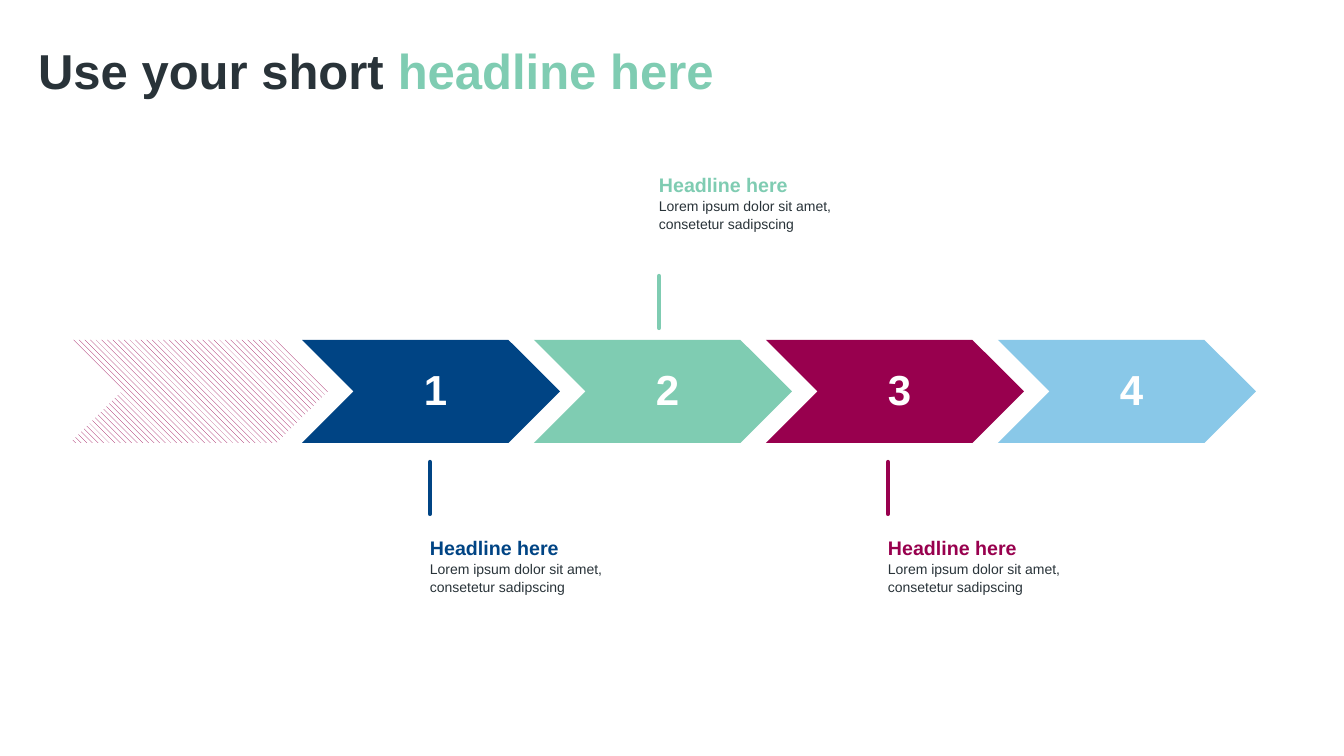
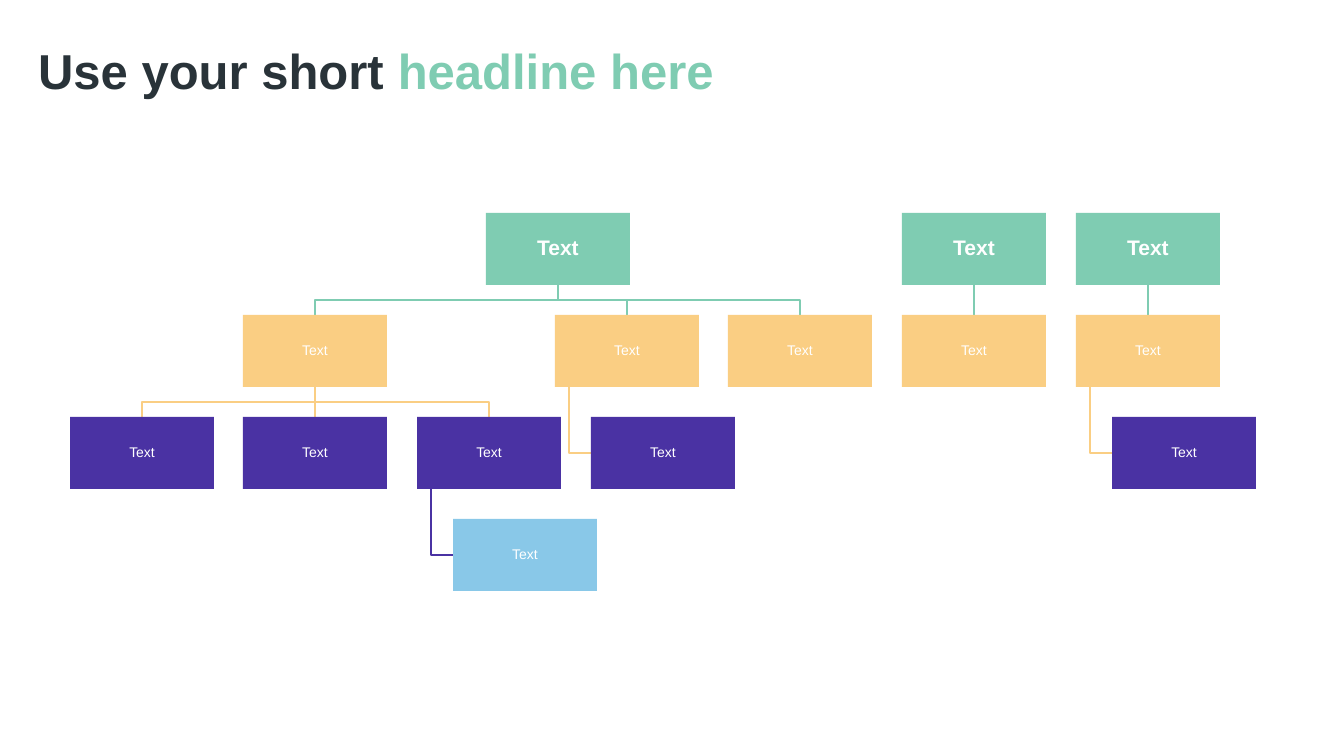
from dataclasses import dataclass
from typing import Optional

from lxml.etree import SubElement
from pptx import Presentation
from pptx.dml.color import RGBColor
from pptx.enum.dml import MSO_PATTERN
from pptx.enum.shapes import MSO_CONNECTOR, MSO_SHAPE
from pptx.enum.text import MSO_ANCHOR, PP_ALIGN
from pptx.oxml.ns import qn
from pptx.util import Emu, Pt

SLIDE_W, SLIDE_H = 1344, 756
EMU_PER_PX = 12192000 / SLIDE_W


@dataclass(frozen=True)
class Theme:
    font: str = "Arial"
    ink: str = "293339"
    white: str = "FFFFFF"
    mint: str = "7FCCB2"
    navy: str = "004484"
    wine: str = "98004E"
    sky: str = "89C8E8"
    sand: str = "FACE83"
    purple: str = "4A32A3"
    title: int = 35
    number: int = 30
    root: int = 15
    heading: int = 14
    body: int = 10
    callout_line: float = 3
    link_line: float = 1.5
    loose: float = 1.05
    tight: float = 0.9


THEME = Theme()
LEVEL_COLORS = (THEME.mint, THEME.sand, THEME.purple, THEME.sky)

NODE_W, NODE_H = 144, 72
NODE_TOP, NODE_PITCH = 213, 102
HANG_INSET = 14


@dataclass(frozen=True)
class Node:
    left: int
    level: int
    parent: Optional["Node"] = None
    hangs: bool = False

    @property
    def top(self):
        return NODE_TOP + self.level * NODE_PITCH

    @property
    def bottom(self):
        return self.top + NODE_H

    @property
    def center(self):
        return self.left + NODE_W // 2

    @property
    def color(self):
        return LEVEL_COLORS[self.level]


def px(value):
    return Emu(round(value * EMU_PER_PX))


def rgb(color):
    return RGBColor.from_string(color)


def set_frame(frame, insets=(0, 0, 0, 0), anchor=MSO_ANCHOR.TOP):
    frame.word_wrap = True
    frame.vertical_anchor = anchor
    frame.margin_left, frame.margin_top, frame.margin_right, frame.margin_bottom = map(px, insets)


def add_span(para, text, size, color, bold=False):
    span = para.add_run()
    span.text = text
    span.font.name = THEME.font
    span.font.size = Pt(size)
    span.font.bold = bold
    span.font.color.rgb = rgb(color)


def add_text(page, left, top, width, height, paragraphs):
    frame = page.shapes.add_textbox(px(left), px(top), px(width), px(height)).text_frame
    set_frame(frame)
    for index, spans in enumerate(paragraphs):
        para = frame.add_paragraph() if index else frame.paragraphs[0]
        para.line_spacing = THEME.loose
        for span in spans:
            add_span(para, *span)


def add_panel(page, kind, left, top, width, height, color):
    panel = page.shapes.add_shape(kind, px(left), px(top), px(width), px(height))
    panel.shadow.inherit = False
    panel.line.fill.background()
    panel.fill.solid()
    panel.fill.fore_color.rgb = rgb(color)
    return panel


def add_label(panel, text, size, bold, insets):
    set_frame(panel.text_frame, insets, MSO_ANCHOR.MIDDLE)
    para = panel.text_frame.paragraphs[0]
    para.alignment = PP_ALIGN.CENTER
    para.line_spacing = THEME.tight
    add_span(para, text, size, THEME.white, bold)


def set_line(line, color, width):
    line.color.rgb = rgb(color)
    line.width = Pt(width)


def add_rule(page, start, end, color, width):
    rule = page.shapes.add_connector(MSO_CONNECTOR.STRAIGHT, *map(px, start + end))
    set_line(rule.line, color, width)
    SubElement(rule._element.spPr, qn("a:effectLst"))
    return rule


def add_bent_line(page, points, color):
    start, *rest = [tuple(map(px, point)) for point in points]
    builder = page.shapes.build_freeform(*start)
    builder.add_line_segments(rest, close=False)
    bend = builder.convert_to_shape()
    bend.shadow.inherit = False
    bend.fill.background()
    set_line(bend.line, color, THEME.link_line)


def add_page(deck):
    page = deck.slides.add_slide(deck.slide_layouts[6])
    add_text(page, 38, 38, 1079, 115, [[
        ("Use your short ", THEME.title, THEME.ink, True),
        ("headline here", THEME.title, THEME.mint, True),
    ]])
    return page


def add_chevron(page, index, color):
    return add_panel(page, MSO_SHAPE.CHEVRON, 70 + 232 * index, 340, 258, 103, color)


def add_callout(page, left, line_top, text_top, color):
    rule = add_rule(page, (left, line_top), (left, line_top + 52), color, THEME.callout_line)
    rule.line._ln.set("cap", "rnd")
    add_text(page, left, text_top, 194, 115, [
        [("Headline here", THEME.heading, color, True)],
        [("Lorem ipsum dolor sit amet, consetetur sadipscing", THEME.body, THEME.ink)],
    ])


def add_link(page, node):
    parent = node.parent
    color = parent.color
    if node.hangs:
        stem, middle = parent.left + HANG_INSET, node.top + NODE_H // 2
        add_bent_line(page, [(stem, parent.bottom), (stem, middle), (node.left, middle)], color)
    elif node.center == parent.center:
        add_rule(page, (parent.center, parent.bottom), (node.center, node.top),
                 color, THEME.link_line)
    else:
        middle = (parent.bottom + node.top) // 2
        add_bent_line(page, [(parent.center, parent.bottom), (parent.center, middle),
                             (node.center, middle), (node.center, node.top)], color)


def add_node(page, node):
    panel = add_panel(page, MSO_SHAPE.RECTANGLE, node.left, node.top, NODE_W, NODE_H, node.color)
    is_root = node.level == 0
    add_label(panel, "Text", THEME.root if is_root else THEME.body, is_root, (1, 1, 1, 1))


def chart_nodes():
    left_columns = [70 + 521 * index // 3 for index in range(3)]
    right_columns = [555 + 521 * index // 3 for index in range(4)]

    def hang(parent):
        return Node(parent.left + NODE_W // 4, parent.level + 1, parent, True)

    root = Node(486, 0)
    side_roots = [Node(left, 0) for left in right_columns[2:]]
    branch = Node(left_columns[1], 1, root)
    leaves = [Node(left, 2, branch) for left in left_columns]
    parents = [root, root, *side_roots]
    others = [Node(left, 1, parent) for left, parent in zip(right_columns, parents)]
    hanging = [hang(parent) for parent in (leaves[-1], others[0], others[-1])]
    return [root, *side_roots, branch, *leaves, *others, *hanging]


def build_process(deck):
    page = add_page(deck)
    hatched = add_chevron(page, 0, THEME.white)
    hatched.fill.patterned()
    hatched.fill.pattern = MSO_PATTERN.WIDE_DOWNWARD_DIAGONAL
    hatched.fill.fore_color.rgb = rgb(THEME.wine)
    hatched.fill.back_color.rgb = rgb(THEME.white)
    for number, color in enumerate((THEME.navy, THEME.mint, THEME.wine, THEME.sky), 1):
        add_label(add_chevron(page, number, color), str(number), THEME.number, True, (13, 4, 4, 4))
    for index, color in enumerate((THEME.navy, THEME.mint, THEME.wine)):
        line_top, text_top = (276, 172) if index % 2 else (462, 535)
        add_callout(page, 430 + 229 * index, line_top, text_top, color)


def build_org_chart(deck):
    page = add_page(deck)
    nodes = chart_nodes()
    for node in nodes:
        if node.parent:
            add_link(page, node)
    for node in nodes:
        add_node(page, node)


def main():
    deck = Presentation()
    deck.slide_width, deck.slide_height = px(SLIDE_W), px(SLIDE_H)
    build_process(deck)
    build_org_chart(deck)
    deck.save("out.pptx")


if __name__ == "__main__":
    main()
